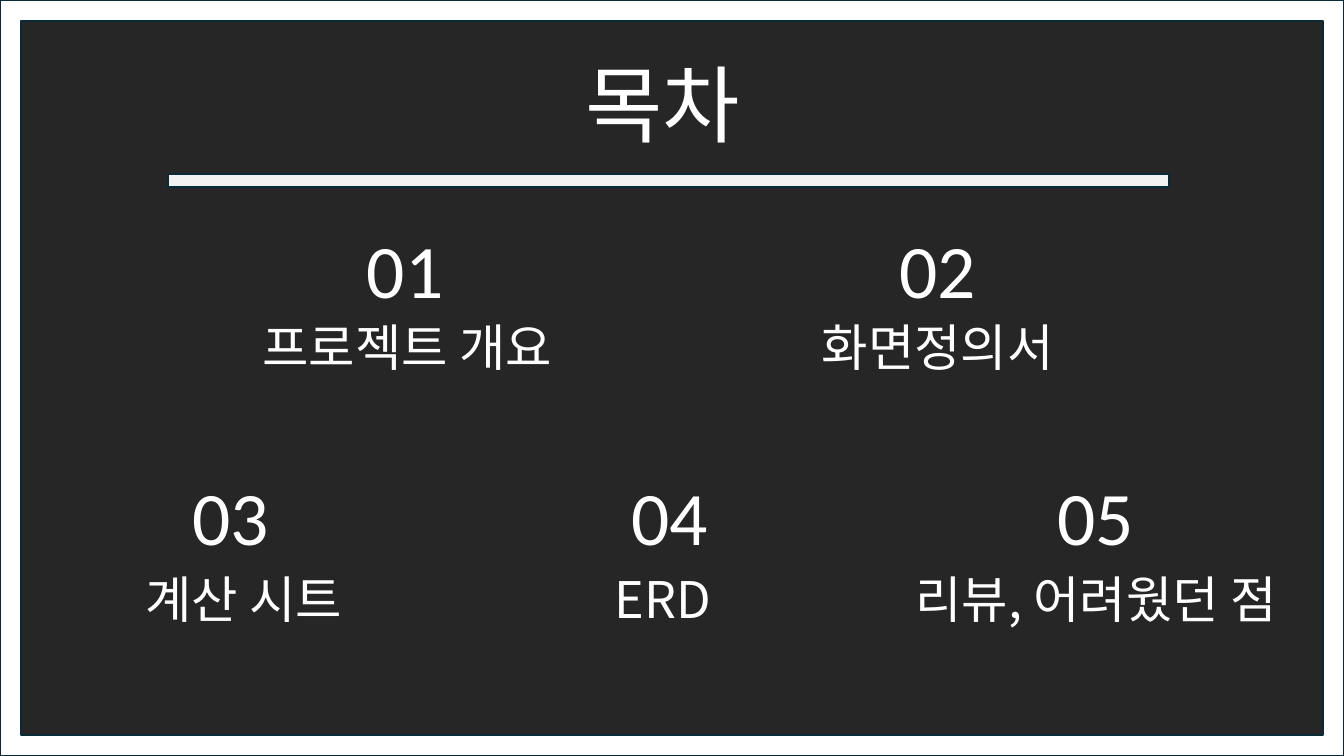
"""Build the contents slide of a project presentation."""
from lxml.etree import SubElement
from pptx import Presentation
from pptx.dml.color import RGBColor
from pptx.enum.shapes import MSO_SHAPE as Shape
from pptx.enum.text import MSO_ANCHOR as Anchor, PP_ALIGN as Align
from pptx.oxml.ns import qn
from pptx.util import Inches, Pt

COLORS = {"board": "262626", "edge": "092A39", "white": "FFFFFF", "rule": "F2F2F2"}
LATIN, KOREAN = "Calibri", "Noto Sans CJK KR"
WIDTH, HEIGHT = 13.33, 7.5
TITLE = "목차 "
ROWS = [
    {"number_top": 2.34, "label_top": 3.16, "items": [
        ("01", 4.02, "프로젝트 개요", 4.04),
        ("02", 9.3, "화면정의서", 9.3),
    ]},
    {"number_top": 4.79, "label_top": 5.66, "items": [
        ("03", 2.29, "계산 시트", 2.42),
        ("04", 6.64, "ERD ", 6.63),
        ("05", 10.87, "리뷰, 어려웠던 점", 10.87),
    ]},
]
NUMBER_WIDTH, LABEL_WIDTH, ITEM_HEIGHT = 1.57, 5.13, 0.87


def add_panel(page, kind, left, top, width, height, color):
    panel = page.shapes.add_shape(
        kind, Inches(left), Inches(top), Inches(width), Inches(height))
    panel.shadow.inherit = False
    panel.fill.solid()
    panel.fill.fore_color.rgb = RGBColor.from_string(COLORS[color])
    panel.line.color.rgb = RGBColor.from_string(COLORS["edge"])
    panel.line.width = Pt(1.5)
    return panel


def add_text(page, text, center, top, width, height, size, font, spacing, anchor=Anchor.TOP):
    box = page.shapes.add_textbox(
        Inches(center - width / 2), Inches(top), Inches(width), Inches(height))
    frame = box.text_frame
    frame.word_wrap = True
    frame.vertical_anchor = anchor
    para = frame.paragraphs[0]
    para.alignment = Align.CENTER
    para.line_spacing = spacing
    span = para.add_run()
    span.text = text
    span.font.size = Pt(size)
    span.font.name = font
    span.font.color.rgb = RGBColor.from_string(COLORS["white"])
    SubElement(span.font._element, qn("a:ea")).set("typeface", font)


def main():
    deck = Presentation()
    deck.slide_width, deck.slide_height = Inches(WIDTH), Inches(HEIGHT)
    page = deck.slides.add_slide(deck.slide_layouts[6])

    add_panel(page, Shape.RECTANGLE, 0, 0, WIDTH, HEIGHT, "board")
    border = add_panel(page, Shape.FRAME, 0, 0, WIDTH, HEIGHT, "white")
    border.adjustments[0] = 0.028
    add_panel(page, Shape.MATH_MINUS, -0.13, 1.51, 13.52, 0.56, "rule")
    add_text(page, TITLE, WIDTH / 2, 0.44, 10, 1.14, 60, KOREAN, 0.9, Anchor.BOTTOM)

    for row in ROWS:
        for number, number_center, label, label_center in row["items"]:
            add_text(page, number, number_center, row["number_top"],
                     NUMBER_WIDTH, ITEM_HEIGHT, 54, LATIN, 0.8)
            add_text(page, label, label_center, row["label_top"],
                     LABEL_WIDTH, ITEM_HEIGHT, 36, KOREAN, 0.9)

    deck.save("out.pptx")


if __name__ == "__main__":
    main()
